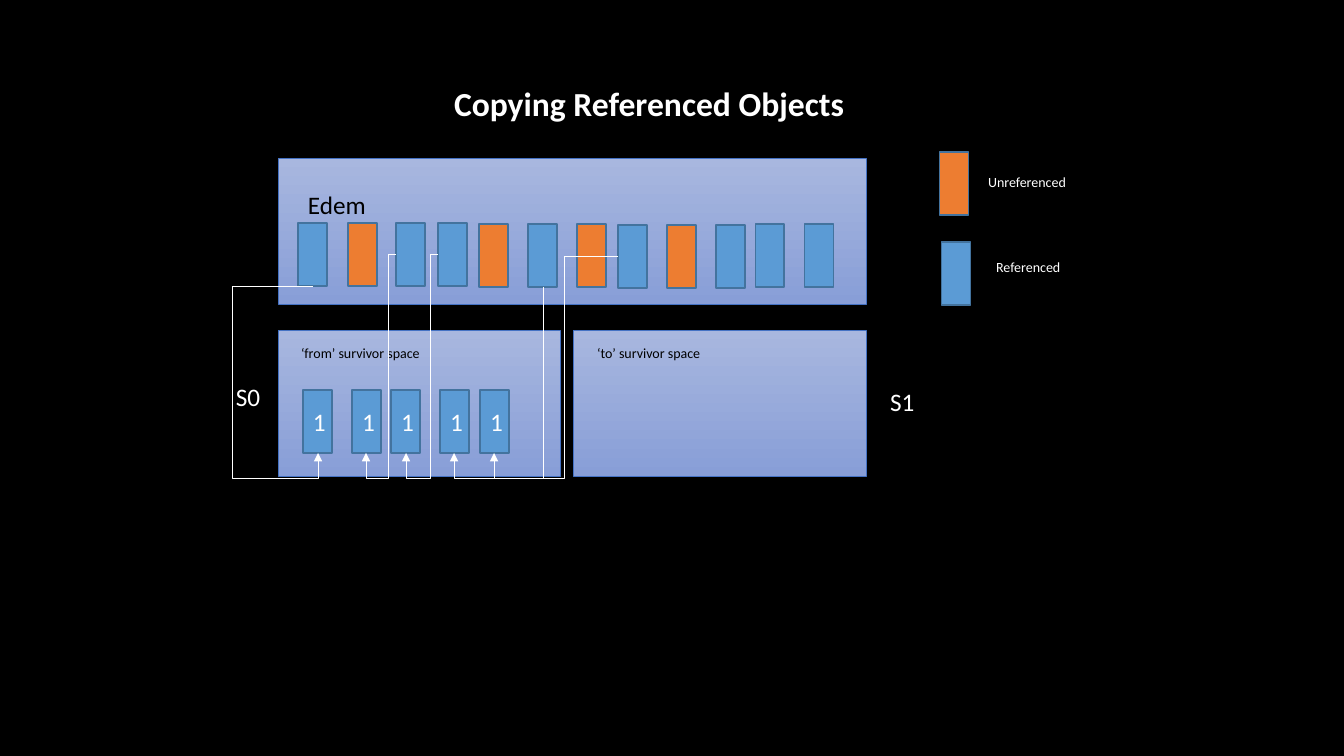
from pptx import Presentation
from pptx import util as u
from pptx.dml.color import RGBColor
from pptx.enum import shapes, text
from pptx.oxml import ns
from lxml import etree

SCALE = 914400 / 100.8
WHITE = RGBColor(0xFF, 0xFF, 0xFF)
BLACK = RGBColor(0, 0, 0)
REFERENCED = RGBColor(0x5B, 0x9B, 0xD5)
UNREFERENCED = RGBColor(0xED, 0x7D, 0x31)
OBJECT_EDGE = RGBColor(0x43, 0x73, 0x9E)
SPACE_TOP = RGBColor(0xA8, 0xB7, 0xDF)
SPACE_BOTTOM = RGBColor(0x88, 0x9E, 0xD7)
SPACE_EDGE = RGBColor(0x44, 0x72, 0xC4)
OBJECT_SIZE = (29, 63)
SURVIVOR_TOP = 390
ARROW_BASE = 478

deck = Presentation()
deck.slide_width = u.Inches(13.33)
deck.slide_height = u.Inches(7.5)
page = deck.slides.add_slide(deck.slide_layouts[6])
page.background.fill.solid()
page.background.fill.fore_color.rgb = BLACK


def add_box(left, top, width, height, edge, weight):
    lengths = [u.Emu(round(v * SCALE)) for v in (left, top, width, height)]
    box = page.shapes.add_shape(shapes.MSO_SHAPE.RECTANGLE, *lengths)
    box.shadow.inherit = False
    box.line.color.rgb = edge
    box.line.width = u.Pt(weight)
    return box


def add_words(box, words, size, color, bold=False):
    para = box.text_frame.paragraphs[0]
    span = para.add_run()
    span.text = words
    span.font.name = "Calibri"
    span.font.size = u.Pt(size)
    span.font.color.rgb = color
    span.font.bold = bold
    return para


for left, top, width, height in [(278, 158, 588, 146), (278, 330, 282, 146), (573, 330, 293, 146)]:
    space = add_box(left, top, width, height, SPACE_EDGE, 0.5)
    space.fill.gradient()
    space.fill.gradient_angle = 270
    for stop, color in zip(space.fill.gradient_stops, (SPACE_TOP, SPACE_BOTTOM)):
        stop.color.rgb = color

eden_rows = {
    223: [(298, REFERENCED), (348, UNREFERENCED), (396, REFERENCED), (438, REFERENCED)],
    224: [(479, UNREFERENCED), (528, REFERENCED), (577, UNREFERENCED), (755, REFERENCED), (804, REFERENCED)],
    225: [(618, REFERENCED), (667, UNREFERENCED), (716, REFERENCED)],
}
objects = [(left, top, color, "") for top, row in eden_rows.items() for left, color in row]
objects += [(left, SURVIVOR_TOP, REFERENCED, "1") for left in (303, 352, 391, 440, 480)]
objects += [(939, 152, UNREFERENCED, ""), (941, 242, REFERENCED, "")]
for left, top, color, age in objects:
    block = add_box(left, top, *OBJECT_SIZE, OBJECT_EDGE, 1)
    block.fill.solid()
    block.fill.fore_color.rgb = color
    if age:
        block.text_frame.vertical_anchor = text.MSO_ANCHOR.MIDDLE
        add_words(block, age, 18, WHITE).alignment = text.PP_ALIGN.CENTER

for left, top, width, height, words, size, color, bold in [
    (444, 78, 431, 50, "Copying Referenced Objects", 24, WHITE, True),
    (298, 184, 127, 40, "Edem", 18, BLACK, False),
    (291, 340, 188, 27, "‘from’ survivor space", 10, BLACK, False),
    (587, 340, 188, 27, "‘to’ survivor space", 10, BLACK, False),
    (226, 376, 45, 40, "S0", 18, WHITE, False),
    (880, 381, 45, 40, "S1", 18, WHITE, False),
    (978, 169, 130, 27, "Unreferenced", 10, WHITE, False),
    (986, 254, 130, 27, "Referenced", 10, WHITE, False),
]:
    label = page.shapes.add_textbox(*[u.Emu(round(v * SCALE)) for v in (left, top, width, height)])
    label.text_frame.word_wrap = True
    add_words(label, words, size, color, bold)

arrow_tip = SURVIVOR_TOP + OBJECT_SIZE[1]
for start_x, start_y, lane, end_x, bends in [
    (396, 254, 388, 366, 4),
    (313, 286, 232, 318, 5),
    (438, 254, 430, 406, 4),
    (543, 287, None, 454, 3),
    (618, 256, 564, 494, 4),
]:
    run, drop = end_x - start_x, arrow_tip - start_y
    ends = [u.Emu(round(v * SCALE)) for v in (start_x, start_y, end_x, arrow_tip)]
    arrow = page.shapes.add_connector(shapes.MSO_CONNECTOR.ELBOW, *ends)
    arrow.line.color.rgb = WHITE
    arrow.line.width = u.Pt(0.5)
    base = (ARROW_BASE - start_y) / drop
    bend_at = [base] if lane is None else [(lane - start_x) / run, base]
    properties = arrow._element.spPr
    if bends != 4:
        center_x, center_y = (start_x + end_x) / 2, (start_y + arrow_tip) / 2
        arrow.left = u.Emu(round((center_x - drop / 2) * SCALE))
        arrow.top = u.Emu(round((center_y - abs(run) / 2) * SCALE))
        arrow.width = u.Emu(round(drop * SCALE))
        arrow.height = u.Emu(round(abs(run) * SCALE))
        frame = properties.find(ns.qn("a:xfrm"))
        frame.set("rot", str((90 if run < 0 else 270) * 60000))
        frame.set("flipH", "0" if run < 0 else "1")
    if bends == 5:
        bend_at.insert(0, 0)
    geometry = properties.find(ns.qn("a:prstGeom"))
    geometry.set("prst", f"bentConnector{bends}")
    guides = geometry.find(ns.qn("a:avLst"))
    for number, share in enumerate(bend_at, 1):
        guide = etree.SubElement(guides, ns.qn("a:gd"))
        guide.set("name", f"adj{number}" if bends > 3 else "adj1")
        guide.set("fmla", f"val {round(share * 100000)}")
    etree.SubElement(properties.find(ns.qn("a:ln")), ns.qn("a:tailEnd")).set("type", "triangle")
    etree.SubElement(properties, ns.qn("a:effectLst"))

deck.save("out.pptx")
